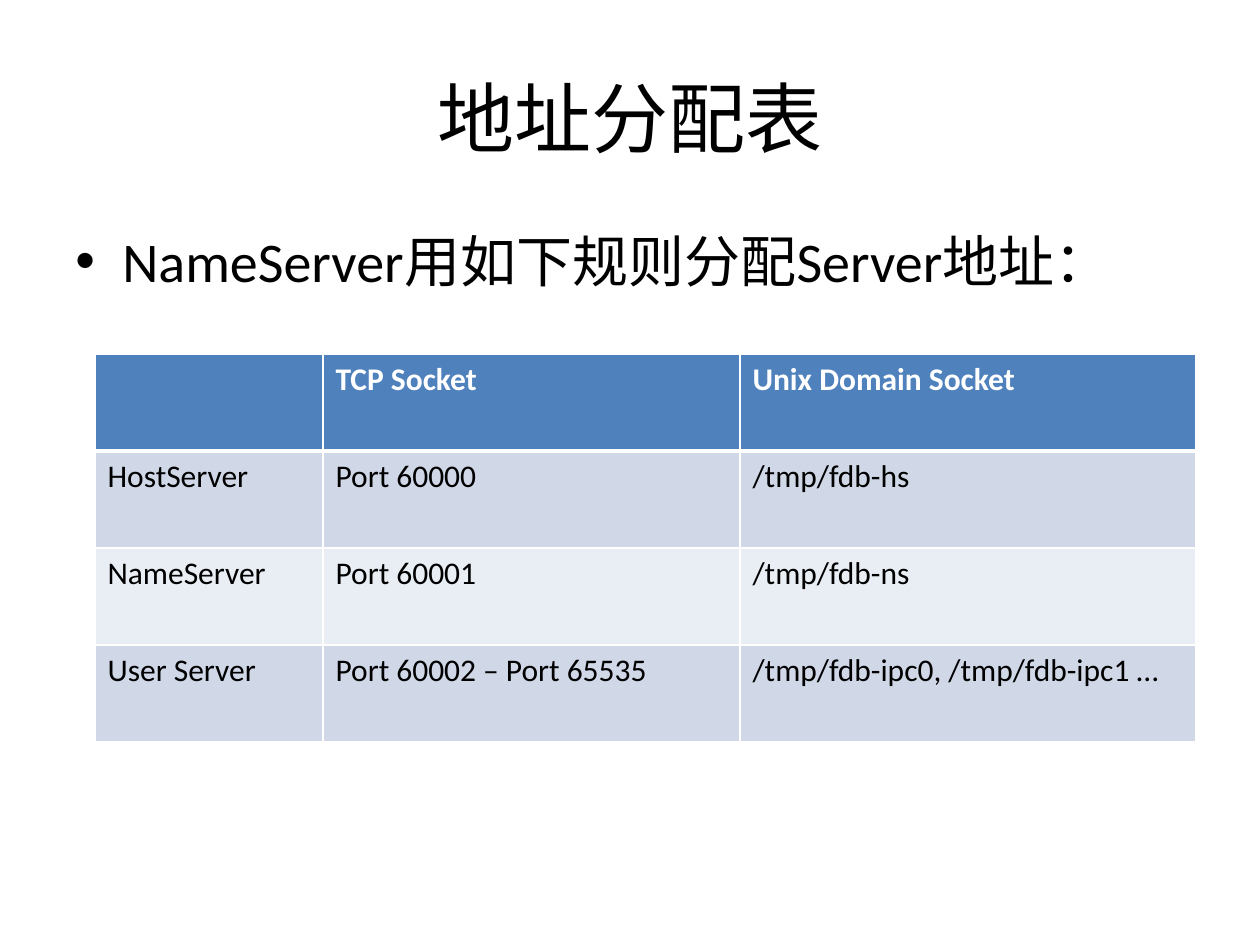
"""Build the address allocation table slide."""
import dataclasses
import typing

import lxml.etree
import pptx
import pptx.dml.color
import pptx.enum.text
import pptx.oxml.ns
import pptx.util

RGBColor = pptx.dml.color.RGBColor
BLACK = RGBColor(0x00, 0x00, 0x00)
WHITE = RGBColor(0xFF, 0xFF, 0xFF)
BLUE = RGBColor(0x4F, 0x81, 0xBD)
BAND_DARK = RGBColor(0xD0, 0xD8, 0xE8)
BAND_LIGHT = RGBColor(0xE9, 0xED, 0xF4)

PX_PER_INCH = 126
FONT = "Calibri"


@dataclasses.dataclass(frozen=True)
class Box:
    left: int
    top: int
    width: int
    height: int


@dataclasses.dataclass(frozen=True)
class Row:
    texts: tuple[str, ...]
    fill: RGBColor
    color: RGBColor = BLACK
    bold: bool = False
    bottom_pt: int = 1


TITLE_BOX = Box(63, 38, 1134, 157)
BODY_BOX = Box(63, 220, 1134, 93)
COL_WIDTHS = (228, 417, 456)
ROW_HEIGHT = 97
ROWS = (
    Row(("", "TCP Socket", "Unix Domain Socket"), BLUE, WHITE, True, 3),
    Row(("HostServer", "Port 60000", "/tmp/fdb-hs"), BAND_DARK),
    Row(("NameServer", "Port 60001", "/tmp/fdb-ns"), BAND_LIGHT),
    Row(("User Server", "Port 60002 – Port 65535", "/tmp/fdb-ipc0, /tmp/fdb-ipc1 …"), BAND_DARK),
)
TABLE_BOX = Box(95, 354, sum(COL_WIDTHS), ROW_HEIGHT * len(ROWS))


def px(n: int) -> pptx.util.Emu:
    """Turn px into EMU."""
    return pptx.util.Emu(round(n * 914400 / PX_PER_INCH))


def place(box: Box) -> tuple[pptx.util.Emu, ...]:
    """Return the box as left, top, width and height in EMU."""
    return tuple(px(n) for n in dataclasses.astuple(box))


def set_attrs(obj: typing.Any, values: dict[str, typing.Any]) -> None:
    """Set each named format value on the object."""
    for name, value in values.items():
        setattr(obj, name, value)


def add_element(parent: typing.Any, tag: str, **attrs: str) -> typing.Any:
    """Append a drawing element with its attributes."""
    return lxml.etree.SubElement(parent, pptx.oxml.ns.qn(tag), attrs)


def write(p: typing.Any, text: str, size: int, color: RGBColor = BLACK, bold: bool = False) -> None:
    """Add one formatted run to the paragraph."""
    r = p.add_run()
    r.text = text
    set_attrs(r.font, {"name": FONT, "size": pptx.util.Pt(size), "bold": bold})
    r.font.color.rgb = color


def add_title(s: typing.Any, text: str) -> None:
    """Move, format and fill the title placeholder."""
    sp = s.shapes.title
    set_attrs(sp, dict(zip(("left", "top", "width", "height"), place(TITLE_BOX))))
    tf = sp.text_frame
    set_attrs(tf, {"word_wrap": True, "vertical_anchor": pptx.enum.text.MSO_ANCHOR.MIDDLE})
    p = tf.paragraphs[0]
    p.alignment = pptx.enum.text.PP_ALIGN.CENTER
    write(p, text, 44)


def add_bullet(s: typing.Any, text: str) -> None:
    """Add a text box with one bulleted line."""
    tf = s.shapes.add_textbox(*place(BODY_BOX)).text_frame
    tf.word_wrap = True
    p = tf.paragraphs[0]
    indent = px(47)
    pPr = p._p.get_or_add_pPr()
    pPr.set("marL", str(indent))
    pPr.set("indent", str(-indent))
    add_element(pPr, "a:buFont", typeface="Arial")
    add_element(pPr, "a:buChar", char="•")
    write(p, text, 32)


def add_borders(cell: typing.Any, bottom_pt: int) -> None:
    """Draw white borders on the four sides of the cell."""
    tcPr = cell._tc.get_or_add_tcPr()
    for side, width in {"L": 1, "R": 1, "T": 1, "B": bottom_pt}.items():
        ln = add_element(tcPr, f"a:ln{side}", w=str(pptx.util.Pt(width)))
        add_element(add_element(ln, "a:solidFill"), "a:srgbClr", val=str(WHITE))


def add_address_table(s: typing.Any) -> None:
    """Add the table of server addresses."""
    table = s.shapes.add_table(len(ROWS), len(COL_WIDTHS), *place(TABLE_BOX)).table
    for col, width in zip(table.columns, COL_WIDTHS):
        col.width = px(width)
    for i, row in enumerate(ROWS):
        table.rows[i].height = px(ROW_HEIGHT)
        top_pt = ROWS[i - 1].bottom_pt if i else 1
        for j, text in enumerate(row.texts):
            cell = table.cell(i, j)
            add_borders(cell, row.bottom_pt)
            cell._tc.tcPr.find(pptx.oxml.ns.qn("a:lnT")).set("w", str(pptx.util.Pt(top_pt)))
            cell.fill.solid()
            cell.fill.fore_color.rgb = row.fill
            if text:
                write(cell.text_frame.paragraphs[0], text, 18, row.color, row.bold)


def main() -> None:
    """Build and save the slide."""
    prs = pptx.Presentation()
    set_attrs(prs, {"slide_width": px(1260), "slide_height": px(945)})
    s = prs.slides.add_slide(prs.slide_layouts[5])
    add_title(s, "地址分配表")
    add_bullet(s, "NameServer用如下规则分配Server地址：")
    add_address_table(s)
    prs.save("out.pptx")


if __name__ == "__main__":
    main()
